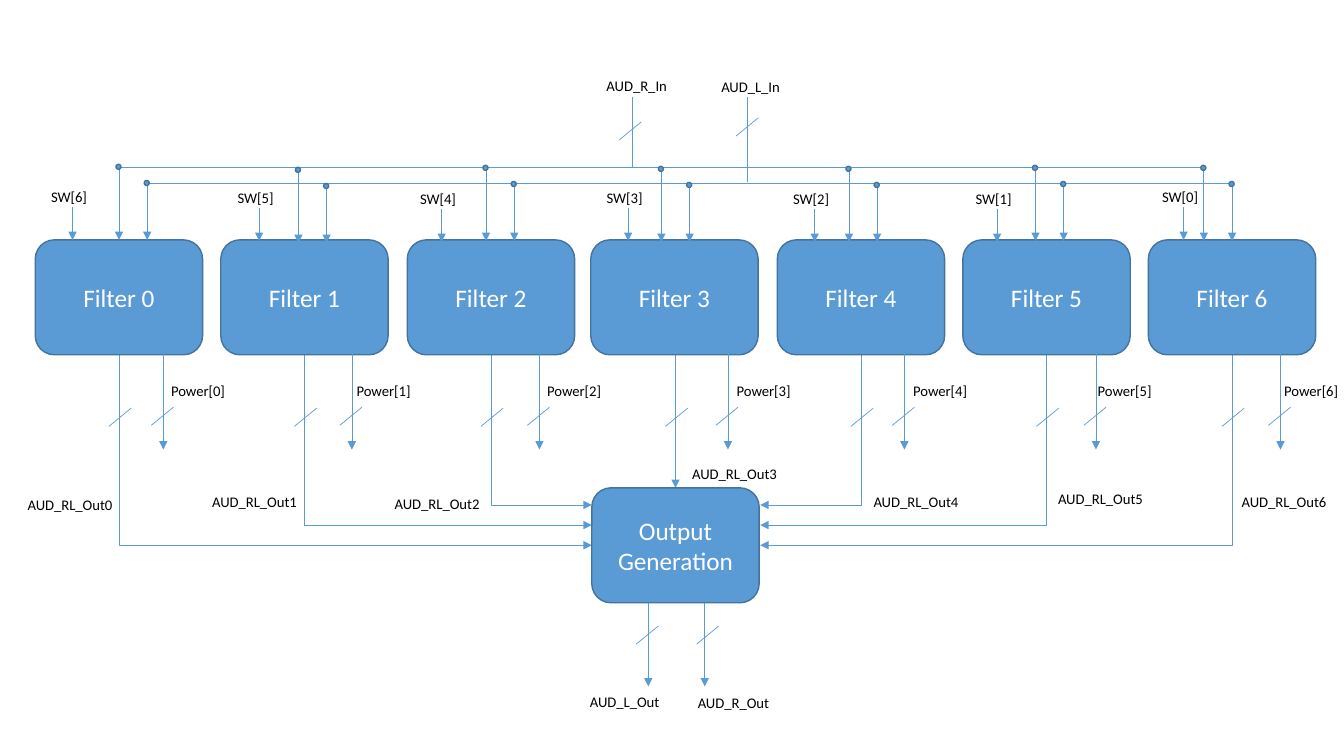
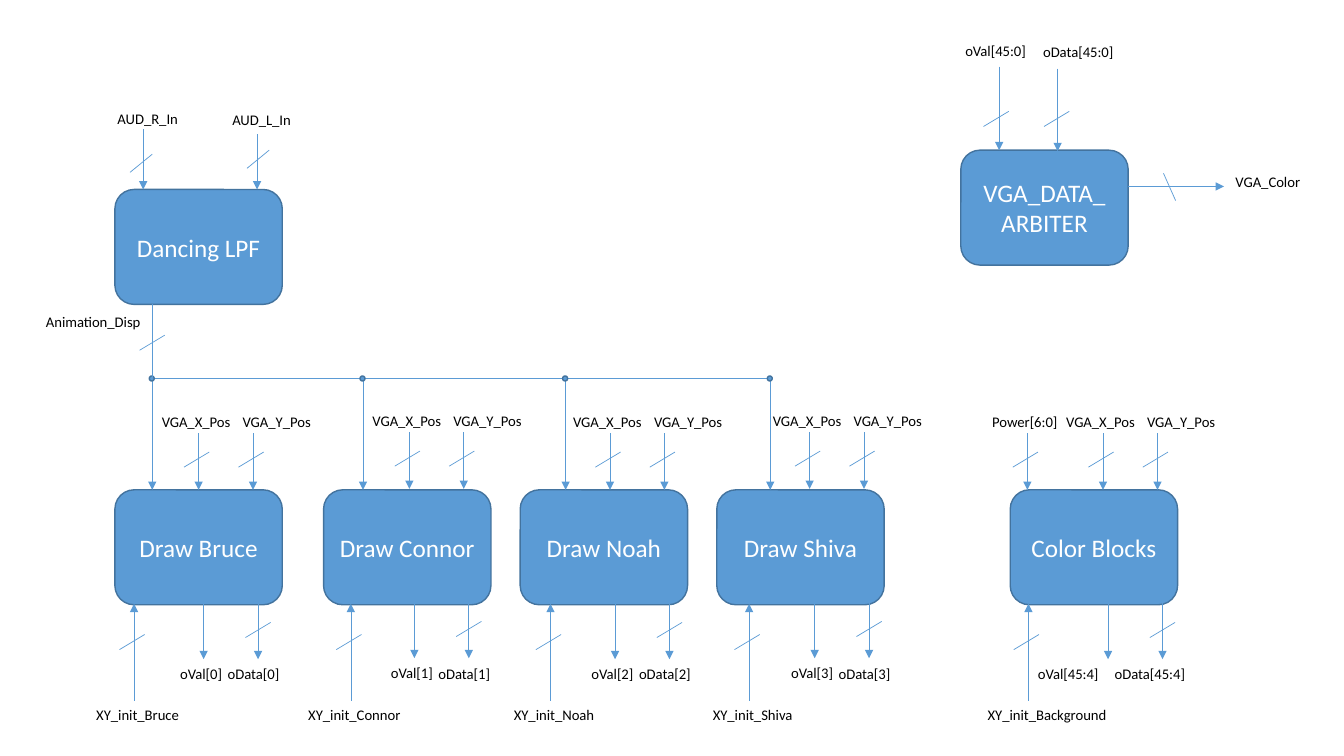
"""Build two block diagrams: an audio filter bank and a display pipeline."""
from lxml import etree
from pptx import Presentation
from pptx.dml.color import RGBColor
from pptx.enum import shapes, text
from pptx.oxml.ns import qn
from pptx.util import Inches, Pt

BLUE, EDGE, WHITE, BLACK = "5B9BD5", "43739E", "FFFFFF", "000000"
FONT = "Calibri"
WIDE, HIGH = 1.66, 1.14
STEEP, FLAT = (0.22, 0.18), (0.25, 0.15)

# box left, switch x, switch label top, rail x, rail drop, output x,
# power x, power label left, output label left, output label top
FILTERS = [
    (0.35, 0.72, 1.81, 1.18, 0, 1.18, 1.62, 1.35, 0.08, 4.87),
    (2.19, 2.57, 1.82, 2.96, 0.03, 3.02, 3.49, 3.19, 1.91, 4.84),
    (4.04, 4.38, 1.83, 4.82, 0.01, 4.87, 5.35, 5.08, 3.72, 4.86),
    (5.86, 6.23, 1.82, 6.56, 0.02, 6.70, 7.22, 6.96, 6.67, 4.56),
    (7.71, 8.08, 1.83, 8.42, 0.02, 8.54, 8.97, 8.71, 8.47, 4.84),
    (9.55, 9.89, 1.83, 10.27, 0.01, 10.38, 10.87, 10.54, 10.3, 4.81),
    (11.39, 11.74, 1.81, 11.94, 0.01, 12.22, 12.7, 12.39, 12.12, 4.84),
]
RAILS = [(0, 1.66), (0.28, 1.82)]

# label, label left, label top, wire x, wire from, wire to, slash centre, arrow
AUDIO = [
    ("AUD_R_In", 5.7, 0.71, 6.27, 0.96, 1.67, (6.25, 1.3), False),
    ("AUD_L_In", 6.83, 0.72, 7.41, 0.96, 1.81, (7.41, 1.26), False),
    ("AUD_L_Out", 5.58, 6.82, 6.43, 5.98, 6.81, (6.42, 6.3), True),
    ("AUD_R_Out", 6.66, 6.83, 6.99, 5.98, 6.81, (7.02, 6.3), True),
]
DANCE = [
    ("AUD_R_In", 0.85, 1.04, 1.42, 1.28, 1.88, (1.4, 1.62), True),
    ("AUD_L_In", 1.98, 1.05, 2.55, 1.33, 1.88, (2.56, 1.58), True),
]
VIDEO = [
    ("Animation_Disp", 0.31, 3.05, 1.51, 3.02, 3.75, (1.51, 3.4), False),
    ("oVal[45:0]", 9.26, 0.37, 9.91, 0.66, 1.49, (9.88, 1.18), True),
    ("oData[45:0]", 10.08, 0.38, 10.49, 0.68, 1.5, (10.48, 1.18), True),
    ("Power[6:0]", 9.55, 4.05, 10.19, 4.3, 4.86, (10.17, 4.56), True),
]

# box, start name, index, box left, display x, position x, start x,
# lift, value label shift, data label shift, start label width
DRAWERS = [
    ("Draw Bruce", "Bruce", "0", 1.14, 1.51, 1.97, 1.33, 0, -0.59, -0.07, 1.23),
    ("Draw Connor", "Connor", "1", 3.21, 3.6, 4.06, 3.48, 0.01, -0.59, -0.07, 1.23),
    ("Draw Noah", "Noah", "2", 5.16, 5.61, 6.05, 5.46, 0, -0.59, -0.07, 1.23),
    ("Draw Shiva", "Shiva", "3", 7.11, 7.64, 8.03, 7.43, 0.01, -0.59, -0.07, 1.23),
    ("Color Blocks", "Background", "45:4", 10.02, None, 10.94, 10.2, 0,
     -0.96, -0.15, 1.53),
]


def tint(code):
    """Turn a hex string into a colour."""
    return RGBColor.from_string(code)


def write(frame, words, size=10.5, color=BLACK):
    """Put centred text in a frame."""
    frame.word_wrap = True
    para = frame.paragraphs[0]
    para.alignment = text.PP_ALIGN.CENTER
    run = para.add_run()
    run.text = words
    run.font.size, run.font.name = Pt(size), FONT
    run.font.color.rgb = tint(color)


def label(page, words, left, top, width=1.23):
    """Add a signal name."""
    area = page.shapes.add_textbox(*map(Inches, (left, top, width, 0.28)))
    write(area.text_frame, words)
    area.text_frame.auto_size = text.MSO_AUTO_SIZE.SHAPE_TO_FIT_TEXT


def solid(page, kind, left, top, width, height):
    """Add a blue shape with a dark edge."""
    item = page.shapes.add_shape(kind, *map(Inches, (left, top, width, height)))
    item.shadow.inherit = False
    item.fill.solid()
    item.fill.fore_color.rgb = tint(BLUE)
    item.line.color.rgb = tint(EDGE)
    item.line.width = Pt(1)
    return item


def block(page, words, left, top):
    """Add a rounded block with its name."""
    item = solid(page, shapes.MSO_SHAPE.ROUNDED_RECTANGLE, left, top, WIDE, HIGH)
    item.text_frame.vertical_anchor = text.MSO_ANCHOR.MIDDLE
    write(item.text_frame, words, size=18, color=WHITE)


def dot(page, x, y):
    """Mark a junction."""
    solid(page, shapes.MSO_SHAPE.OVAL, x - 0.03, y - 0.03, 0.05, 0.05)


def wire(page, x1, y1, x2, y2, tip=None, bent=False):
    """Add a wire; tip is headEnd or tailEnd, bent runs level and then upright."""
    kind = shapes.MSO_CONNECTOR.ELBOW if bent else shapes.MSO_CONNECTOR.STRAIGHT
    item = page.shapes.add_connector(kind, *map(Inches, (x1, y1, x2, y2)))
    item.line.color.rgb = tint(BLUE)
    item.line.width = Pt(0.5)
    props = item._element.spPr
    if bent:
        props.find(qn("a:prstGeom")).set("prst", "bentConnector2")
    if tip:
        etree.SubElement(props.find(qn("a:ln")), qn("a:" + tip), type="triangle")
    etree.SubElement(props, qn("a:effectLst"))


def slash(page, x, y, size=STEEP):
    """Mark a wire as a bus."""
    dx, dy = size[0] / 2, size[1] / 2
    wire(page, x - dx, y + dy, x + dx, y - dy)


def port(page, words, left, top, x, y1, y2, mark=None, arrow=True,
         size=STEEP, width=1.23):
    """Add an upright wire with its name and bus mark."""
    wire(page, x, y1, x, y2, tip="tailEnd" if arrow else None)
    if mark:
        slash(page, *mark, size=size)
    label(page, words, left, top, width)


def bank(page):
    """Draw the filter bank."""
    mid = len(FILTERS) // 2
    for i, row in enumerate(FILTERS):
        out = row[5]
        if i == mid:
            wire(page, out, 3.51, out, 4.84, tip="tailEnd")
        else:
            level = 5.41 - 0.2 * min(i, 2 * mid - i)
            side = 5.87 if i < mid else 7.54
            wire(page, side, level, out, 3.51, tip="headEnd", bent=True)
    block(page, "Output Generation", 5.87, 4.84)
    for shift, y in RAILS:
        wire(page, FILTERS[0][3] + shift, y, FILTERS[-1][3] + shift, y)
    for i, row in enumerate(FILTERS):
        left, sw, top, rail, drop, out, power, plabel, olabel, otop = row
        block(page, f"Filter {i}", left, 2.38)
        for shift, y in RAILS:
            wire(page, rail + shift, y + drop, rail + shift, 2.38 + drop, tip="tailEnd")
            dot(page, rail + shift, y + drop)
        port(page, f"SW[{6 - i}]", sw - 0.65, top, sw, top + 0.24, top + 0.57)
        port(page, f"Power[{i}]", plabel, 3.74, power, 3.51, 4.46, (power - 0.01, 4.13))
        slash(page, out + 0.01, 4.14)
        label(page, f"AUD_RL_Out{i}", olabel, otop)
    for row in AUDIO:
        port(page, *row)


def screen(page):
    """Draw the display pipeline."""
    block(page, "Dancing LPF", 1.14, 1.88)
    block(page, "VGA_DATA_ARBITER", 9.53, 1.49)
    wire(page, 1.51, 3.75, 7.62, 3.75)
    for name, start, mark, left, disp, x, init, lift, vshift, dshift, width in DRAWERS:
        block(page, name, left, 4.86)
        if disp:
            wire(page, disp, 3.76, disp, 4.86, tip="tailEnd")
            dot(page, disp, 3.76)
        for axis, sx, tx in (("X", x, x - 0.64), ("Y", x + 0.54, x + 0.16)):
            port(page, f"VGA_{axis}_Pos", tx, 4.05 - lift, sx, 4.3 - lift, 4.86 - lift,
                 (sx - 0.02, 4.56 - lift), size=FLAT)
        low, end = 5.98 - lift, 6.54 - lift
        data = x + 0.59
        port(page, f"oVal[{mark}]", x + vshift, 6.55 - lift, x + 0.05, low, end)
        port(page, f"oData[{mark}]", x + dshift, 6.55, data, low, end,
             (data, 6.25 - lift), size=FLAT)
        port(page, f"XY_init_{start}", init - 0.58, 6.95, init, 6.95, 5.99,
             (init - 0.02, 6.37), size=FLAT, width=width)
    for row in DANCE:
        port(page, *row)
    for row in VIDEO:
        port(page, *row, size=FLAT)
    wire(page, 11.19, 1.85, 12.14, 1.85, tip="tailEnd")
    wire(page, 11.54, 1.72, 11.66, 1.99)
    label(page, "VGA_Color", 11.96, 1.67)


def main():
    """Make the deck and save it."""
    deck = Presentation()
    deck.slide_width, deck.slide_height = Inches(13.33), Inches(7.5)
    for draw in (bank, screen):
        draw(deck.slides.add_slide(deck.slide_layouts[6]))
    deck.save("out.pptx")


if __name__ == "__main__":
    main()
